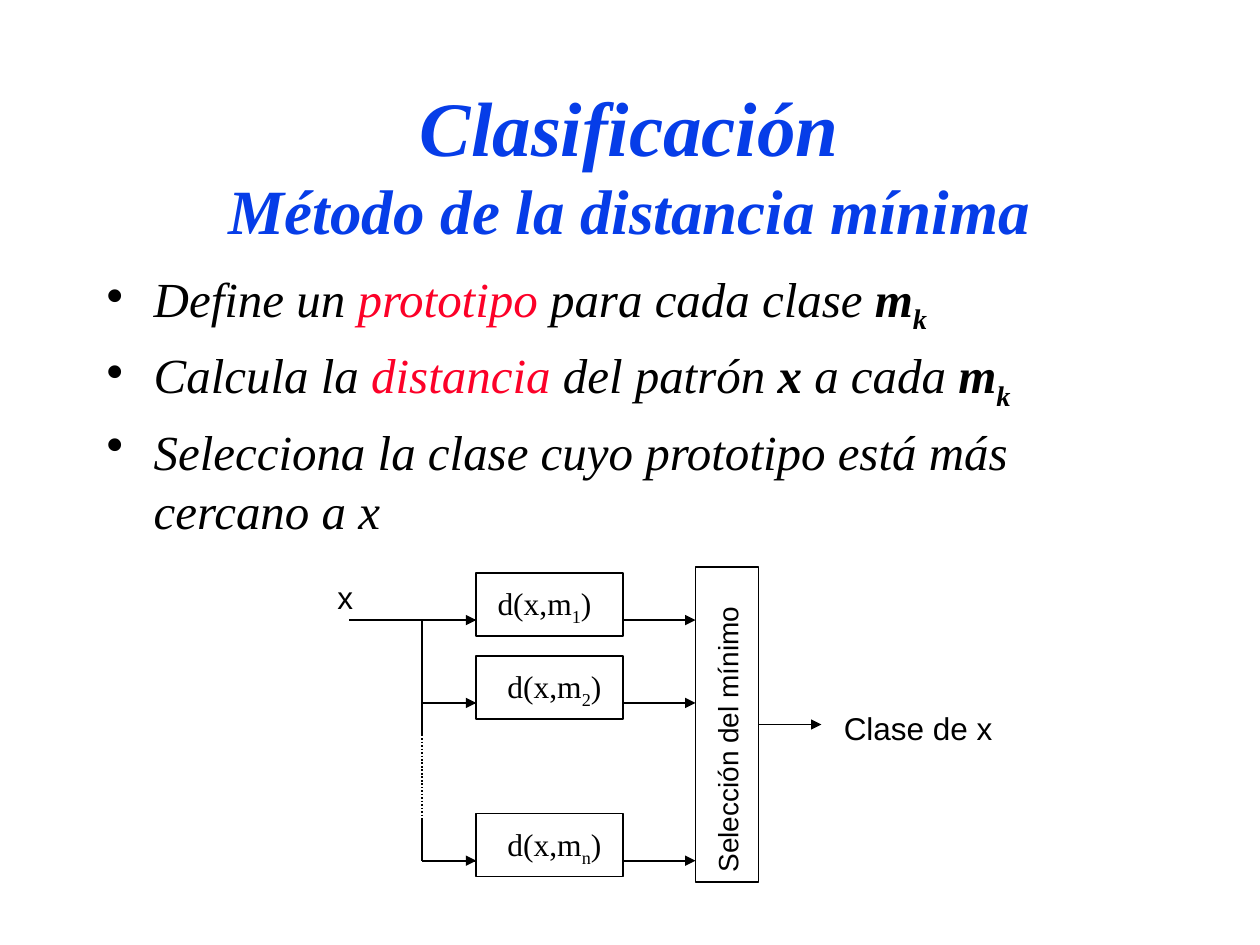
"""Build a slide on minimum distance classification with its block diagram."""
from lxml.etree import SubElement
from pptx import Presentation
from pptx.dml.color import RGBColor
from pptx.enum.dml import MSO_LINE_DASH_STYLE as Dash
from pptx.enum.shapes import MSO_CONNECTOR as Connector, MSO_SHAPE as Shape
from pptx.enum.text import MSO_ANCHOR as Anchor, MSO_AUTO_SIZE as AutoSize, PP_ALIGN as Align
from pptx.oxml.ns import qn
from pptx.util import Cm, Pt

BLACK = RGBColor(0x00, 0x00, 0x00)
WHITE = RGBColor(0xFF, 0xFF, 0xFF)
BLUE = RGBColor(0x06, 0x3D, 0xE8)
RED = RGBColor(0xFC, 0x01, 0x28)
SERIF, SANS = "Times New Roman", "Arial"

PLAIN, KEY, BOLD, SUB = "plain", "key", "bold", "sub"
BODY_STYLES = {
    PLAIN: {"bold": False},
    KEY: {"bold": False, "color": RED},
    BOLD: {"bold": True},
    SUB: {"bold": True, "baseline": -25000},
}
TITLE = [("Clasificación", 44), ("Método de la distancia mínima", 36)]
BULLETS = [
    [("Define un ", PLAIN), ("prototipo", KEY), (" para cada clase ", PLAIN),
     ("m", BOLD), ("k", SUB)],
    [("Calcula la ", PLAIN), ("distancia", KEY), (" del patrón", PLAIN), (" x", BOLD),
     (" a cada ", PLAIN), ("m", BOLD), ("k", SUB)],
    [("Selecciona la clase cuyo prototipo está más cercano a x", PLAIN)],
]
DISTANCES = [("1", 12.5, 9.78), ("2", 14.17, 9.98), ("n", 17.35, 9.98)]
LABELS = [
    ("Selección del mínimo", 16, (11.73, 14.43, 5.87, 0.94), 270),
    ("x", 18, (6.55, 11.53, 0.84, 1.02), 0),
    ("Clase de x", 18, (16.76, 14.17, 3.5, 1.02), 0),
]
INPUT_X, TRUNK_X, OUTPUT_X = 7.04, 8.51, 16.56
BOX_X, BOX_WIDTH, BOX_HEIGHT, BOX_RISE = 9.6, 2.96, 1.27, 0.95
SELECTOR = (14.02, 11.43, 1.27, 6.35)
TRUNK = [(12.5, 14.81, None), (16.51, 17.35, None), (14.6, 16.71, Dash.ROUND_DOT)]


def add_span(para, text, size, name, color=BLACK, baseline=None, **style):
    span = para.add_run()
    span.text = text
    for key, value in {"size": Pt(size), "name": name, **style}.items():
        setattr(span.font, key, value)
    span.font.color.rgb = color
    if baseline:
        span.font._element.set("baseline", str(baseline))


def add_label(page, place, spans, name, size, rotation=0):
    box = page.shapes.add_textbox(*map(Cm, place))
    box.rotation = rotation
    box.text_frame.word_wrap = False
    box.text_frame.auto_size = AutoSize.SHAPE_TO_FIT_TEXT
    for text, baseline in spans:
        add_span(box.text_frame.paragraphs[0], text, size, name, baseline=baseline)


def add_block(page, place):
    block = page.shapes.add_shape(Shape.RECTANGLE, *map(Cm, place))
    block.shadow.inherit = False
    block.fill.solid()
    block.fill.fore_color.rgb = WHITE
    block.line.color.rgb = BLACK
    block.line.width = Pt(1)


def add_line(page, start, end, arrow=False, dash=None):
    line = page.shapes.add_connector(Connector.STRAIGHT, *map(Cm, start + end))
    line.line.color.rgb = BLACK
    line.line.width = Pt(1)
    if dash:
        line.line.dash_style = dash
    if arrow:
        SubElement(line.line._get_or_add_ln(), qn("a:tailEnd"), type="triangle")
    SubElement(line._element.spPr, qn("a:effectLst"))


def add_title(page):
    title = page.shapes.title
    place = {"left": 1.9, "top": 1.7, "width": 21.59, "height": 3.18}
    for key, value in place.items():
        setattr(title, key, Cm(value))
    frame = title.text_frame
    frame.auto_size = AutoSize.NONE
    frame.vertical_anchor = Anchor.MIDDLE
    para = frame.paragraphs[0]
    para.alignment = Align.CENTER
    for index, (text, size) in enumerate(TITLE):
        if index:
            para.add_line_break()
        add_span(para, text, size, SERIF, BLUE, bold=True, italic=True)


def add_bullets(page):
    frame = page.shapes.add_textbox(Cm(1.9), Cm(5.28), Cm(21.59), Cm(11.43)).text_frame
    frame.word_wrap = True
    for index, spans in enumerate(BULLETS):
        para = frame.add_paragraph() if index else frame.paragraphs[0]
        para.space_before = Pt(5.6 if index else 0)
        props = para._p.get_or_add_pPr()
        props.set("marL", str(Cm(0.95)))
        props.set("indent", str(-Cm(0.95)))
        SubElement(props, qn("a:buChar"), char="•")
        for text, style in spans:
            add_span(para, text, 28, SERIF, italic=True, **BODY_STYLES[style])


def add_diagram(page):
    left, top, width, height = SELECTOR
    middle = top + height / 2
    add_block(page, SELECTOR)
    for index, y, text_x in DISTANCES:
        box_y = y - BOX_RISE
        add_line(page, (TRUNK_X, y), (left, y), arrow=True)
        add_block(page, (BOX_X, box_y, BOX_WIDTH, BOX_HEIGHT))
        add_line(page, (TRUNK_X, y), (BOX_X, y), arrow=True)
        spans = [("d(x,m", None), (index, -25000), (")", None)]
        add_label(page, (text_x, box_y + 0.1, 2.44, 1.02), spans, SERIF, 18)
    for start, end, dash in TRUNK:
        add_line(page, (TRUNK_X, start), (TRUNK_X, end), dash=dash)
    first_y = DISTANCES[0][1]
    add_line(page, (INPUT_X, first_y), (TRUNK_X, first_y))
    add_line(page, (left + width, middle), (OUTPUT_X, middle), arrow=True)
    for text, size, place, rotation in LABELS:
        add_label(page, place, [(text, None)], SANS, size, rotation)


def main():
    deck = Presentation()
    deck.slide_width, deck.slide_height = Cm(25.4), Cm(19.05)
    page = deck.slides.add_slide(deck.slide_layouts[5])
    add_title(page)
    add_bullets(page)
    add_diagram(page)
    deck.save("out.pptx")


if __name__ == "__main__":
    main()
